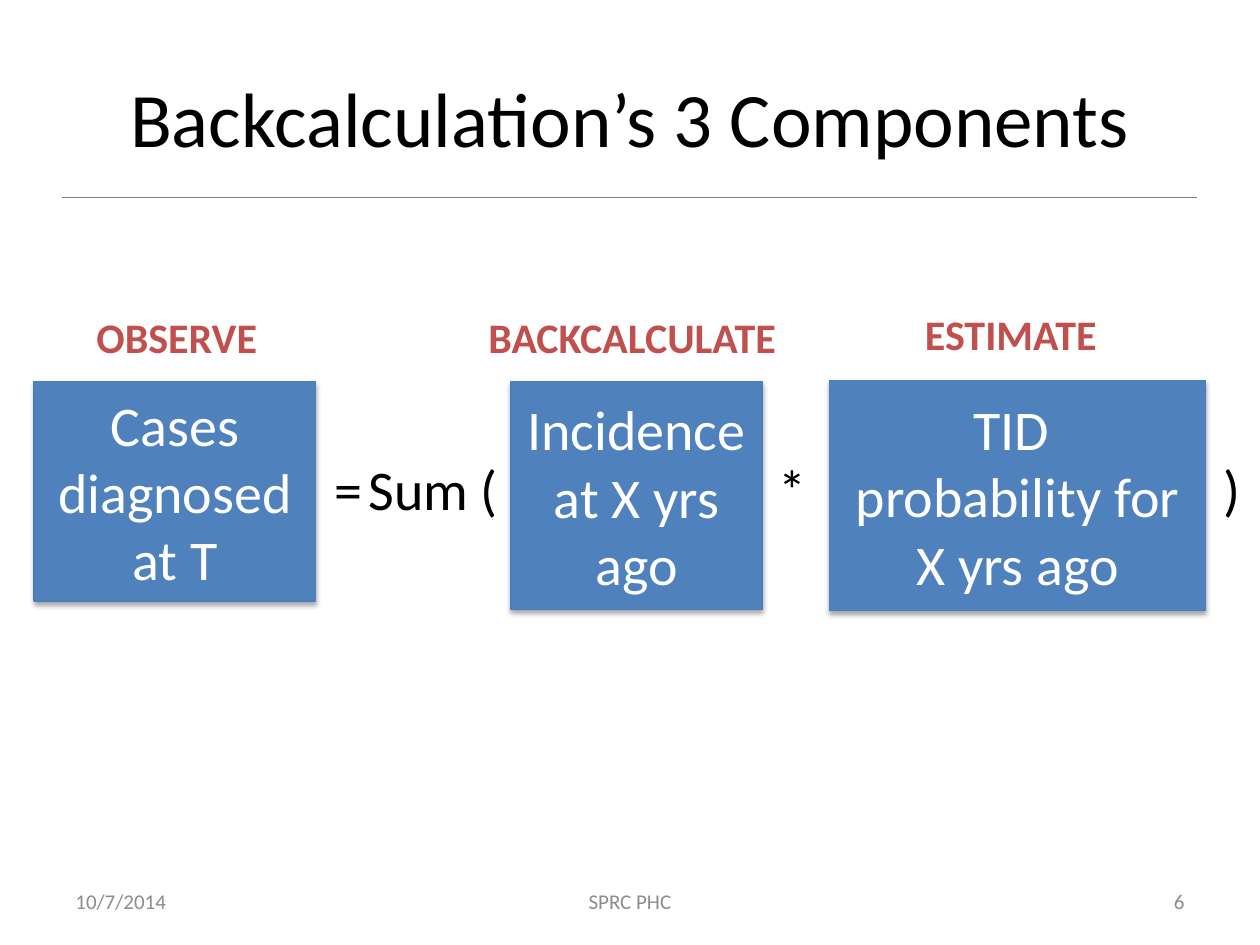
from dataclasses import dataclass

from lxml.etree import SubElement
from pptx import Presentation
from pptx.dml.color import RGBColor
from pptx.enum.shapes import MSO_CONNECTOR, MSO_SHAPE
from pptx.enum.text import MSO_ANCHOR, PP_ALIGN
from pptx.oxml.ns import qn
from pptx.util import Pt


@dataclass(frozen=True)
class Theme:
    font: str = "Calibri"
    ink: str = "000000"
    muted: str = "8C8C8C"
    rule: str = "7F7F7F"
    accent: str = "C0504D"
    box: str = "4F81BD"
    box_line: str = "4B7EBC"
    box_text: str = "FFFFFF"
    title_size: int = 44
    formula_size: int = 32
    label_size: int = 24
    footer_size: int = 12


THEME = Theme()


def write_text(shape, text, size, color=THEME.ink, bold=False,
               align=PP_ALIGN.LEFT, anchor=MSO_ANCHOR.TOP, wrap=True, inset=7.2):
    frame = shape.text_frame
    frame.text = text
    frame.word_wrap = wrap
    frame.vertical_anchor = anchor
    frame.margin_left = frame.margin_right = Pt(inset)
    frame.margin_top = frame.margin_bottom = Pt(inset / 2)
    for paragraph in frame.paragraphs:
        paragraph.alignment = align
        for run in paragraph.runs:
            run.font.name = THEME.font
            run.font.size = Pt(size)
            run.font.bold = bold
            run.font.color.rgb = RGBColor.from_string(color)


def add_text(slide, text, left, top, width, height, **text_format):
    shape = slide.shapes.add_textbox(Pt(left), Pt(top), Pt(width), Pt(height))
    write_text(shape, text, **text_format)


def add_title(slide, text):
    title = slide.shapes.title
    title.left, title.top, title.width, title.height = Pt(36), Pt(21.6), Pt(648), Pt(90)
    write_text(title, text, THEME.title_size, align=PP_ALIGN.CENTER, anchor=MSO_ANCHOR.MIDDLE)


def add_rule(slide, left, right, top):
    rule = slide.shapes.add_connector(
        MSO_CONNECTOR.STRAIGHT, Pt(left), Pt(top), Pt(right), Pt(top))
    rule.line.color.rgb = RGBColor.from_string(THEME.rule)
    rule.line.width = Pt(0.75)
    SubElement(rule._element.spPr, qn("a:effectLst"))


def add_shadow(shape):
    shape.shadow.inherit = False
    effects = shape._element.spPr.find(qn("a:effectLst"))
    shadow = SubElement(effects, qn("a:outerShdw"), blurRad=str(Pt(3.1)),
                        dist=str(Pt(1.8)), dir="5400000", rotWithShape="0")
    color = SubElement(shadow, qn("a:srgbClr"), val="000000")
    SubElement(color, qn("a:alpha"), val="35000")


def add_component(slide, text, left, top, width, height):
    box = slide.shapes.add_shape(
        MSO_SHAPE.RECTANGLE, Pt(left), Pt(top), Pt(width), Pt(height))
    box.fill.solid()
    box.fill.fore_color.rgb = RGBColor.from_string(THEME.box)
    box.line.color.rgb = RGBColor.from_string(THEME.box_line)
    box.line.width = Pt(0.75)
    add_shadow(box)
    write_text(box, text, THEME.formula_size, THEME.box_text,
               align=PP_ALIGN.CENTER, anchor=MSO_ANCHOR.MIDDLE)


def main():
    presentation = Presentation()
    presentation.slide_width, presentation.slide_height = Pt(720), Pt(540)
    slide = presentation.slides.add_slide(presentation.slide_layouts[5])

    add_rule(slide, 35.3, 684, 113)
    add_title(slide, "Backcalculation’s 3 Components")

    footers = (
        ("10/7/2014", 36, 168, PP_ALIGN.LEFT),
        ("SPRC PHC", 246, 228, PP_ALIGN.CENTER),
        ("6", 516, 168, PP_ALIGN.RIGHT),
    )
    for text, left, width, align in footers:
        add_text(slide, text, left, 500.5, width, 28.75, size=THEME.footer_size,
                 color=THEME.muted, align=align, anchor=MSO_ANCHOR.MIDDLE)

    operators = (("=", 191, 18), ("Sum (", 210.5, 78), ("*", 445, 20), (")", 699, 20))
    for text, left, width in operators:
        add_text(slide, text, left, 260, width, 40,
                 size=THEME.formula_size, wrap=False, inset=0)

    components = (
        ("Cases diagnosed at T", 19.5, 218, 161, 125.5),
        ("Incidence at X yrs ago", 292, 218, 143.5, 130.5),
        ("TID \nprobability for X yrs ago", 474, 217.3, 215, 131.7),
    )
    for component in components:
        add_component(slide, *component)

    labels = (
        ("OBSERVE", 48, 174.5, 107),
        ("BACKCALCULATE", 272, 174.5, 184),
        ("ESTIMATE", 521.5, 172.8, 116),
    )
    for text, left, top, width in labels:
        add_text(slide, text, left, top, width, 36, size=THEME.label_size,
                 color=THEME.accent, bold=True, wrap=False)

    presentation.save("out.pptx")


main()
